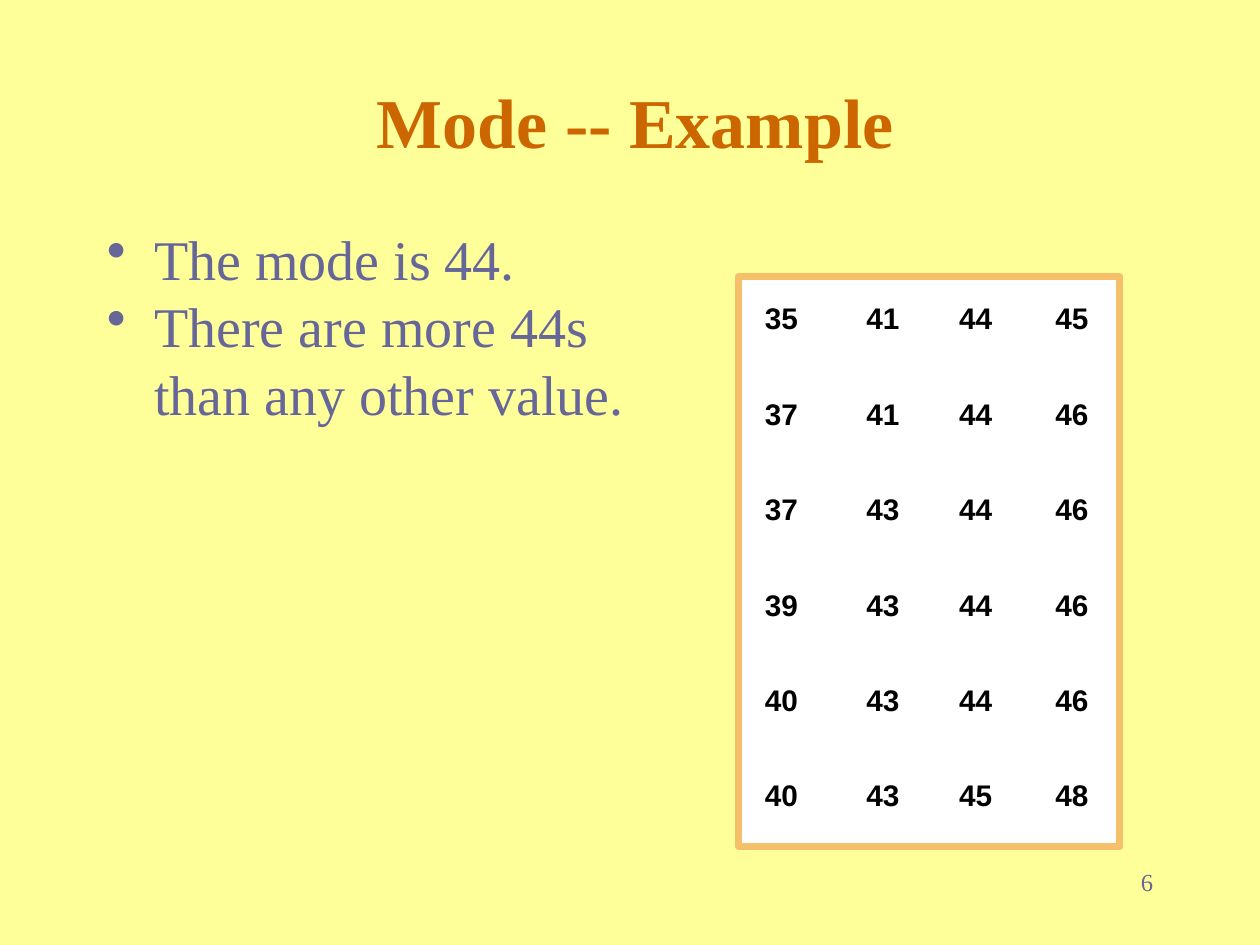
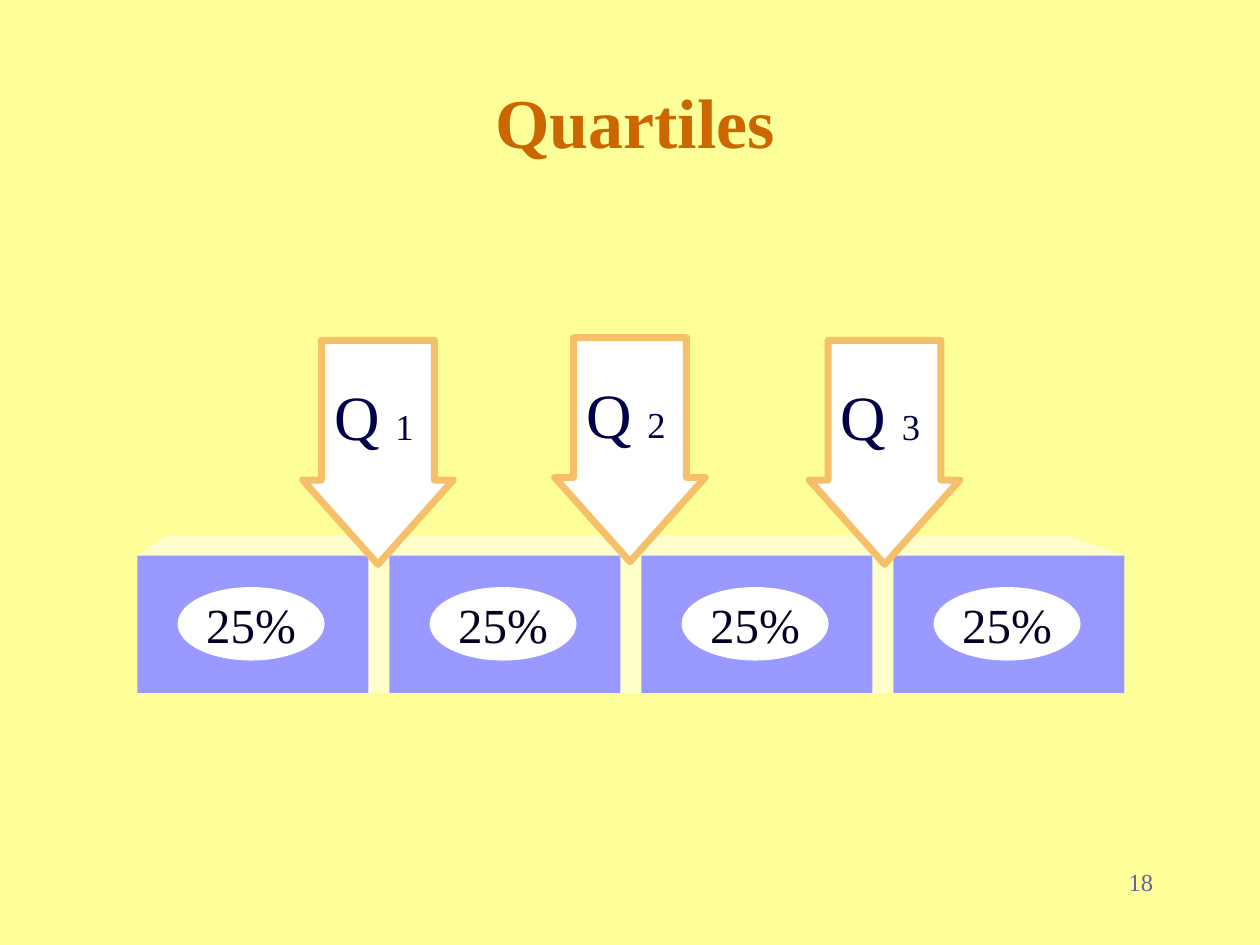
from dataclasses import dataclass, field
from typing import Any, NamedTuple

from lxml import etree
from pptx import Presentation
from pptx import util as u
from pptx.dml.color import RGBColor
from pptx.enum import shapes, text
from pptx.oxml import ns

Pt = u.Pt
Form = shapes.MSO_SHAPE
Side = text.PP_ALIGN
Hold = text.MSO_ANCHOR

CREAM = RGBColor(0xFF, 0xFF, 0x99)
PALE = RGBColor(0xFF, 0xFF, 0xCC)
WHITE = RGBColor(0xFF, 0xFF, 0xFF)
BLACK = RGBColor(0x00, 0x00, 0x00)
RUST = RGBColor(0xCC, 0x66, 0x00)
SLATE = RGBColor(0x66, 0x66, 0x99)
AMBER = RGBColor(0xF6, 0xBF, 0x69)
LILAC = RGBColor(0x99, 0x99, 0xFF)
NIGHT = RGBColor(0x00, 0x00, 0x22)
NAVY = RGBColor(0x00, 0x00, 0x48)

SERIF = "Times New Roman"
SANS = "Arial"


class Box(NamedTuple):
    left: float
    top: float
    width: float
    height: float

    def span(self) -> list[int]:
        return [Pt(v) for v in self]


@dataclass(frozen=True)
class Style:
    color: RGBColor
    size: float
    name: str = SERIF
    bold: bool = False
    para: dict[str, Any] = field(default_factory=dict)
    frame: dict[str, Any] = field(default_factory=dict)


@dataclass(frozen=True)
class Look:
    form: Form
    fill: RGBColor
    line: RGBColor | None = None
    width: float = 0


PAD = dict(margin_left=Pt(7.2), margin_right=Pt(7.2),
           margin_top=Pt(3.6), margin_bottom=Pt(3.6), word_wrap=True)
TITLE = Style(RUST, 40, bold=True, para=dict(alignment=Side.CENTER),
              frame=dict(vertical_anchor=Hold.MIDDLE))
POINT = Style(SLATE, 32, para=dict(line_spacing=0.8, space_before=Pt(8)))
FOOT = Style(SLATE, 14, para=dict(alignment=Side.RIGHT, space_before=Pt(8.8)))
VALUE = Style(BLACK, 17, SANS, True, dict(alignment=Side.LEFT),
              dict(word_wrap=False, vertical_anchor=Hold.TOP))
SHARE = Style(NIGHT, 28, para=dict(alignment=Side.CENTER),
              frame=dict(word_wrap=False, vertical_anchor=Hold.MIDDLE))
MARK = Style(NAVY, 36, para=dict(alignment=Side.CENTER),
             frame=dict(word_wrap=False, vertical_anchor=Hold.MIDDLE,
                        margin_left=Pt(3.6), margin_right=Pt(3.6),
                        margin_top=Pt(7.2), margin_bottom=Pt(7.2)))

PANEL = Look(Form.RECTANGLE, WHITE, AMBER, 4)
CELL = Look(Form.RECTANGLE, WHITE)
BACK = Look(Form.RECTANGLE, PALE)
BLOCK = Look(Form.RECTANGLE, LILAC)
OVAL = Look(Form.OVAL, WHITE, WHITE, 1)
ARROW = Look(Form.RIGHT_ARROW, WHITE, AMBER, 4)

AGES = [[35, 41, 44, 45],
        [37, 41, 44, 46],
        [37, 43, 44, 46],
        [39, 43, 44, 46],
        [40, 43, 44, 46],
        [40, 43, 45, 48]]
COLS = [430, 488, 541, 596]


def apply(item: Any, values: dict[str, Any]) -> None:
    for key, value in values.items():
        setattr(item, key, value)


def add_run(para: Any, words: str, style: Style) -> Any:
    run = para.add_run()
    run.text = words
    apply(run.font, dict(name=style.name, size=Pt(style.size), bold=style.bold))
    run.font.color.rgb = style.color
    return run


def write(shape: Any, lines: list[str], style: Style) -> list[Any]:
    frame = shape.text_frame
    apply(frame, PAD | style.frame)
    paras = [frame.paragraphs[0]] + [frame.add_paragraph() for _ in lines[1:]]
    for para, line in zip(paras, lines):
        apply(para, style.para)
        add_run(para, line, style)
    return paras


def label(slide: Any, box: Box, lines: list[str], style: Style) -> list[Any]:
    return write(slide.shapes.add_textbox(*box.span()), lines, style)


def paint(shape: Any, look: Look) -> None:
    shape.shadow.inherit = False
    shape.fill.solid()
    shape.fill.fore_color.rgb = look.fill
    if look.line is None:
        shape.line.fill.background()
    else:
        shape.line.color.rgb = look.line
        shape.line.width = Pt(look.width)


def draw(slide: Any, box: Box, look: Look) -> Any:
    shape = slide.shapes.add_shape(look.form, *box.span())
    paint(shape, look)
    return shape


def indent(para: Any, bullet: bool) -> None:
    props = para._p.get_or_add_pPr()
    props.set("marL", str(Pt(27)))
    props.set("indent", str(Pt(-27 if bullet else 0)))
    if bullet:
        etree.SubElement(props, ns.qn("a:buChar")).set("char", "•")


def start(deck: Any, title: str, page: int) -> Any:
    slide = deck.slides.add_slide(deck.slide_layouts[6])
    label(slide, Box(30, 24, 666, 90), [title], TITLE)
    label(slide, Box(606, 492, 60, 36), [str(page)], FOOT)
    return slide


def add_mode(deck: Any) -> None:
    slide = start(deck, "Mode -- Example", 6)
    lines = ["The mode is 44.", "There are more 44s", "than any other value."]
    paras = label(slide, Box(54, 132, 612, 348), lines, POINT)
    for para, bullet in zip(paras, (True, True, False)):
        indent(para, bullet)
    draw(slide, Box(422, 158, 218, 326), PANEL)
    for row, ages in enumerate(AGES):
        for left, age in zip(COLS, ages):
            cell = draw(slide, Box(left, 168 + 54.5 * row, 33, 27), CELL)
            write(cell, [str(age)], VALUE)


def add_arrow(slide: Any, left: float, top: float, rank: int) -> None:
    arrow = draw(slide, Box(left, top, 128, 86), ARROW)
    arrow.rotation = 270
    arrow._element.spPr.xfrm.set("flipH", "1")
    arrow.adjustments[0] = 0.75
    arrow.adjustments[1] = 0.56
    para = write(arrow, ["Q"], MARK)[0]
    run = add_run(para, str(rank), MARK)
    run.font._element.set("baseline", "-25000")
    arrow.text_frame._txBody.bodyPr.set("vert", "eaVert")


def add_quarts(deck: Any) -> None:
    slide = start(deck, "Quartiles", 18)
    draw(slide, Box(78.5, 317.5, 564, 78.5), BACK)
    pen = slide.shapes.build_freeform(Pt(642.5), Pt(317.5))
    rim = [(78.5, 317.5), (95, 306), (609, 306)]
    pen.add_line_segments([(Pt(x), Pt(y)) for x, y in rim], close=True)
    paint(pen.convert_to_shape(), BACK)
    for step in range(4):
        left = 78.5 + 144 * step
        draw(slide, Box(left, 317.5, 132, 78.5), BLOCK)
        oval = draw(slide, Box(left + 23.5, 336, 83, 41), OVAL)
        write(oval, ["25%"], SHARE)
    for rank, left, top in [(3, 441.5, 215.5), (2, 296, 214), (1, 152, 215.5)]:
        add_arrow(slide, left, top, rank)


def main() -> None:
    deck = Presentation()
    apply(deck, dict(slide_width=Pt(720), slide_height=Pt(540)))
    fill = deck.slide_master.background.fill
    fill.solid()
    fill.fore_color.rgb = CREAM
    add_mode(deck)
    add_quarts(deck)
    deck.save("out.pptx")


if __name__ == "__main__":
    main()
